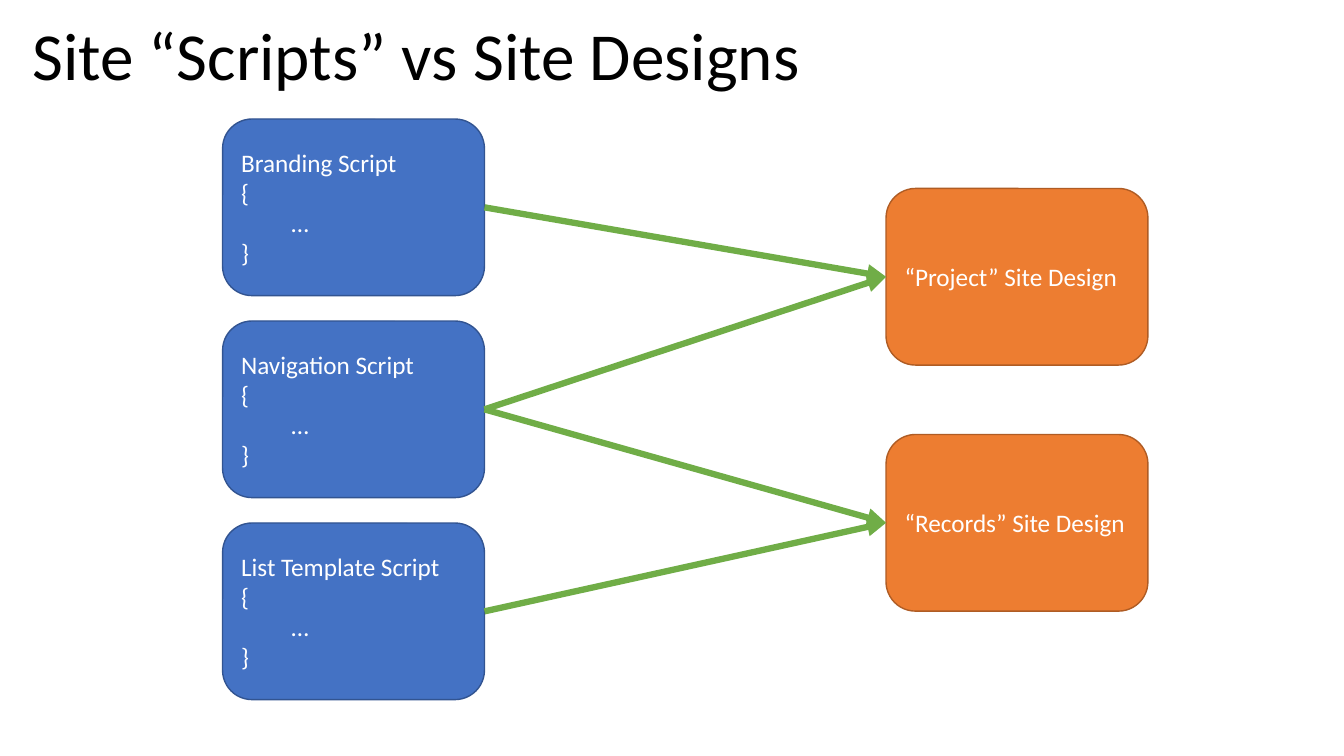
from lxml import etree
from pptx import Presentation
from pptx.dml.color import RGBColor
from pptx.enum.shapes import MSO_CONNECTOR, MSO_SHAPE
from pptx.enum.text import MSO_ANCHOR, MSO_AUTO_SIZE, PP_ALIGN
from pptx.oxml.ns import qn
from pptx.util import Cm, Pt

BLUE = RGBColor(0x44, 0x72, 0xC4)
DARK_BLUE = RGBColor(0x32, 0x54, 0x91)
ORANGE = RGBColor(0xED, 0x7D, 0x31)
DARK_ORANGE = RGBColor(0xAF, 0x5C, 0x24)
GREEN = RGBColor(0x70, 0xAD, 0x47)
WHITE = RGBColor(0xFF, 0xFF, 0xFF)
BLACK = RGBColor(0x00, 0x00, 0x00)

BOX_WIDTH, BOX_HEIGHT = 6.6, 4.45
SCRIPT_LEFT, SCRIPT_TOP, SCRIPT_PITCH = 5.61, 3.0, 5.09
DESIGN_LEFT, DESIGN_TOP, DESIGN_PITCH = 22.33, 4.75, 6.2
LEFT_SITE, RIGHT_SITE = 1, 3


class Deck:
    """Holds the text style and the current slide, and adds elements to it."""

    font = "Calibri"

    def __init__(self, width, height):
        self.presentation = Presentation()
        self.presentation.slide_width = Cm(width)
        self.presentation.slide_height = Cm(height)
        self.slide = self.presentation.slides.add_slide(
            self.presentation.slide_layouts.get_by_name("Title Only"))

    def set_text(self, frame, lines, size, color):
        frame.text = "\n".join(lines)
        frame.word_wrap = True
        frame.auto_size = MSO_AUTO_SIZE.NONE
        frame.vertical_anchor = MSO_ANCHOR.MIDDLE
        for paragraph in frame.paragraphs:
            paragraph.alignment = PP_ALIGN.LEFT
            for run in paragraph.runs:
                run.font.name = self.font
                run.font.size = Pt(size)
                run.font.color.rgb = color

    def title(self, text, left, top, width, height):
        title = self.slide.shapes.title
        title.left, title.top = Cm(left), Cm(top)
        title.width, title.height = Cm(width), Cm(height)
        self.set_text(title.text_frame, [text], 48, BLACK)
        title.text_frame.paragraphs[0].line_spacing = 0.9

    def box(self, lines, left, top, fill, outline):
        box = self.slide.shapes.add_shape(
            MSO_SHAPE.ROUNDED_RECTANGLE,
            Cm(left), Cm(top), Cm(BOX_WIDTH), Cm(BOX_HEIGHT))
        box.shadow.inherit = False
        box.fill.solid()
        box.fill.fore_color.rgb = fill
        box.line.color.rgb = outline
        box.line.width = Pt(1)
        self.set_text(box.text_frame, lines, 18, WHITE)
        return box

    def arrow(self, source, target):
        arrow = self.slide.shapes.add_connector(MSO_CONNECTOR.STRAIGHT, 0, 0, 0, 0)
        arrow.begin_connect(source, RIGHT_SITE)
        arrow.end_connect(target, LEFT_SITE)
        arrow.line.color.rgb = GREEN
        arrow.line.width = Pt(4.5)
        properties = arrow.element.spPr
        etree.SubElement(properties.find(qn("a:ln")), qn("a:tailEnd"), type="triangle")
        etree.SubElement(properties, qn("a:effectLst"))


deck = Deck(33.87, 19.05)
deck.title("Site “Scripts” vs Site Designs", 0.56, 0.43, 29.2, 2.1)

scripts = [
    deck.box([f"{name} Script", "{", "\t…", "}"],
             SCRIPT_LEFT, SCRIPT_TOP + row * SCRIPT_PITCH, BLUE, DARK_BLUE)
    for row, name in enumerate(["Branding", "Navigation", "List Template"])
]
designs = [
    deck.box([f"“{name}” Site Design"],
             DESIGN_LEFT, DESIGN_TOP + row * DESIGN_PITCH, ORANGE, DARK_ORANGE)
    for row, name in enumerate(["Project", "Records"])
]
for script, design in [(0, 0), (1, 0), (1, 1), (2, 1)]:
    deck.arrow(scripts[script], designs[design])

deck.presentation.save("out.pptx")
